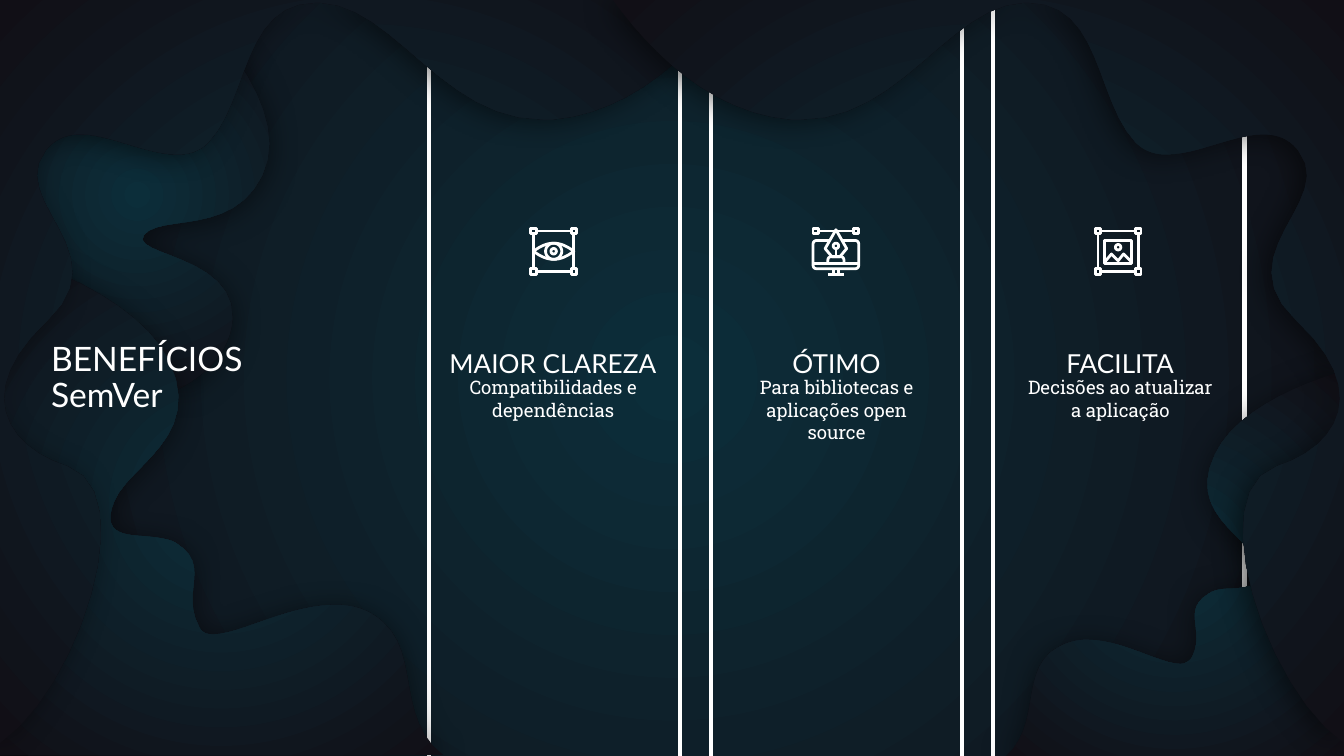
from dataclasses import dataclass

from lxml.etree import SubElement
from pptx import Presentation
from pptx.dml.color import RGBColor
from pptx.enum.shapes import MSO_SHAPE
from pptx.enum.text import MSO_ANCHOR, MSO_AUTO_SIZE, PP_ALIGN
from pptx.oxml.ns import qn
from pptx.util import Pt

PX = 9144  # EMU in one px, 100 px to the inch
WIDTH = 1000
HEIGHT = WIDTH * 9 / 16


@dataclass(frozen=True)
class Theme:
    glow: RGBColor = RGBColor(0x0C, 0x2E, 0x3A)
    night: RGBColor = RGBColor(0x11, 0x0F, 0x16)
    ink: RGBColor = RGBColor(0xFF, 0xFF, 0xFF)
    heading: str = "Lato"
    body: str = "Roboto Slab"
    title_size: int = 18
    heading_size: int = 14
    body_size: int = 10
    panel_line: float = 2.25
    icon_line: float = 1.5


THEME = Theme()

# Wave outlines, in slide px
BLOB = ("M 112 0 L 31 50 L 4 178 C 4 178 5 183 8 190 C 38 200 105 225 126 269 "
        "C 129 276 131 283 132 290 C 154 279 172 260 173 237 C 175 190 96 190 107 175 "
        "C 119 159 173 176 195 131 C 218 85 162 23 138 0 Z")
LEFT_FOOT = ("M -1 187 L -1 562 L 330 562 C 294 535 313 488 285 463 C 274 453 262 450 249 450 "
             "C 215 450 178 472 159 472 C 154 472 150 471 148 466 C 134 440 158 421 131 404 "
             "C 126 401 118 400 108 399 C 92 398 75 397 85 373 C 96 346 152 325 126 269 "
             "C 103 221 23 194 -1 187 Z")
CURTAIN = ("M 0 0 L 0 553 C 57 514 107 366 50 347 C 3 332 -20 290 35 239 C 90 188 4 150 34 112 "
           "C 41 103 50 100 60 100 C 82 100 109 115 132 115 C 140 115 148 113 155 106 "
           "C 185 75 180 2 235 2 L 238 2 C 294 4 329 89 404 89 L 411 89 "
           "C 472 84 517 37 544 0 Z")
RIGHT_FOOT = ("M 1000 276 L 1000 563 L 748 563 C 774 541 760 505 781 486 C 790 479 799 476 809 476 "
              "C 835 476 863 494 878 494 C 882 494 885 492 887 489 C 897 469 879 454 899 442 "
              "C 903 439 909 438 917 438 C 930 437 942 436 935 418 C 926 397 883 381 904 338 "
              "C 921 301 982 281 1000 276 Z")
NEAR, FAR = (15.8, 1.5, 90), (15.8, 3.8, 157)  # blur, distance, direction
WAVES = [(BLOB, NEAR, False), (LEFT_FOOT, NEAR, False), (CURTAIN, FAR, False),
         (RIGHT_FOOT, NEAR, False), (CURTAIN, FAR, True)]


def circle(x, y, r):
    k = 0.55 * r
    return (f"M {x - r} {y} C {x - r} {y - k} {x - k} {y - r} {x} {y - r} "
            f"C {x + k} {y - r} {x + r} {y - k} {x + r} {y} "
            f"C {x + r} {y + k} {x + k} {y + r} {x} {y + r} "
            f"C {x - k} {y + r} {x - r} {y + k} {x - r} {y} Z ")


def box(x, y, w, h):
    return f"M {x} {y} L {x + w} {y} L {x + w} {y + h} L {x} {y + h} Z "


# Icon strokes, in a 36 px box
TOP_HANDLES = box(1, 1, 4, 4) + box(31, 1, 4, 4) + "M 5 3 L 31 3 "
FRAME = (TOP_HANDLES + box(1, 31, 4, 4) + box(31, 31, 4, 4)
         + "M 5 33 L 31 33 M 3 5 L 3 31 M 33 5 L 33 31 ")
EYE = [FRAME + "M 3 18 C 7 15 12 12 18 12 C 24 12 29 15 33 18 "
       "C 29 21 24 24 18 24 C 12 24 7 21 3 18 Z " + circle(18, 18, 6), circle(18, 18, 2)]
PEN_SCREEN = [TOP_HANDLES + circle(18, 14, 2)
              + "M 18 2 L 10 16 L 15 22 L 21 22 L 26 16 Z M 18 16 L 18 22 "
              "M 12 27 L 12 25 C 12 23 13 22 15 22 L 21 22 C 23 22 24 23 24 25 L 24 27 "
              "M 13 10 L 4 10 C 2 10 1 11 1 13 L 1 28 C 1 30 2 31 4 31 L 32 31 "
              "C 34 31 35 30 35 28 L 35 13 C 35 11 34 10 32 10 L 23 10 "
              "M 1 27 L 35 27 M 16 31 L 16 35 M 20 31 L 20 35 M 12 35 L 24 35"]
PHOTO = [FRAME, box(8, 10, 20, 17) + "M 8 26 L 13 20 L 18 25 L 22 20 L 28 26", circle(18, 15, 2)]

BENEFITS = [("MAIOR CLAREZA", "Compatibilidades e dependências", EYE),
            ("ÓTIMO", "Para bibliotecas e aplicações open source", PEN_SCREEN),
            ("FACILITA", "Decisões ao atualizar a aplicação", PHOTO)]


def emu(*lengths):
    return [round(n * PX) for n in lengths]


def contours(path, steps=12):
    """Turn an M/L/C/Z path into (points, closed) pairs, with curves as short lines."""
    found, tokens = [], iter(path.split())
    for command in tokens:
        if command == "Z":
            found[-1][1] = True
            continue
        pairs = [(float(next(tokens)), float(next(tokens)))
                 for _ in range(3 if command == "C" else 1)]
        if command == "M":
            found.append([pairs, False])
        elif command == "L":
            found[-1][0].extend(pairs)
        else:
            points = found[-1][0]
            ends = [points[-1], *pairs]
            for t in (i / steps for i in range(1, steps + 1)):
                weights = ((1 - t) ** 3, 3 * t * (1 - t) ** 2, 3 * t * t * (1 - t), t ** 3)
                points.append(tuple(sum(w * e[a] for w, e in zip(weights, ends))
                                    for a in (0, 1)))
    return found


def add_outline(shapes, path, left=0, top=0, mirror=False):
    builder = None
    for points, closed in contours(path):
        placed = [emu(WIDTH - x if mirror else left + x, top + y) for x, y in points]
        if builder is None:
            builder = shapes.build_freeform(*placed[0])
        else:
            builder.move_to(*placed[0])
        builder.add_line_segments(placed[1:], close=closed)
    sp = builder.convert_to_shape()
    sp.shadow.inherit = False
    return sp


def fill_glow(fill, element):
    """Circular gradient from the centre outwards."""
    fill.gradient()
    for stop, color in zip(fill.gradient_stops, (THEME.glow, THEME.night)):
        stop.color.rgb = color
    grad = next(element.iter(qn("a:gradFill")))
    grad.remove(grad.find(qn("a:lin")))
    circle_path = SubElement(grad, qn("a:path"), path="circle")
    SubElement(circle_path, qn("a:fillToRect"), dict.fromkeys("ltrb", "50000"))


def add_shadow(sp, blur, distance, direction):
    effects = next(sp._element.iter(qn("a:effectLst")))
    shadow = SubElement(effects, qn("a:outerShdw"), blurRad=str(Pt(blur)), dist=str(Pt(distance)),
                        dir=str(direction * 60000), algn="bl", rotWithShape="0")
    color = SubElement(shadow, qn("a:srgbClr"), val="000000")
    SubElement(color, qn("a:alpha"), val="50000")


def set_line(sp, width):
    sp.fill.background()
    sp.line.color.rgb = THEME.ink
    sp.line.width = Pt(width)


def write(sp, text, font, size, anchor, **paragraph):
    tf = sp.text_frame
    left, top = emu(7, 4)
    frame = dict(word_wrap=True, auto_size=MSO_AUTO_SIZE.NONE, vertical_anchor=anchor,
                 margin_left=left, margin_right=left, margin_top=top, margin_bottom=top)
    p = tf.paragraphs[0]
    r = p.add_run()
    r.text = text
    for target, values in ((tf, frame), (p, paragraph),
                           (r.font, dict(name=font, size=Pt(size), bold=False))):
        for name, value in values.items():
            setattr(target, name, value)
    r.font.color.rgb = THEME.ink


def add_panel(s, x, y, w, h):
    sp = s.shapes.add_shape(MSO_SHAPE.RECTANGLE, *emu(x, y, w, h))
    sp.shadow.inherit = False
    set_line(sp, THEME.panel_line)


def add_wave(s, path, shadow, mirror):
    sp = add_outline(s.shapes, path, mirror=mirror)
    fill_glow(sp.fill, sp._element)
    sp.line.fill.background()
    add_shadow(sp, *shadow)


def add_title(s, text, x, y, w, h):
    title = s.shapes.title
    title.left, title.top, title.width, title.height = emu(x, y, w, h)
    write(title, text, THEME.heading, THEME.title_size, MSO_ANCHOR.MIDDLE,
          alignment=PP_ALIGN.LEFT, line_spacing=0.9)
    title._element.getparent().append(title._element)  # in front of the waves


def add_icon(s, icon, x, y):
    group = s.shapes.add_group_shape()
    for path in icon:
        set_line(add_outline(group.shapes, path, x, y), THEME.icon_line)


def add_benefit_text(s, heading, body, x, y, w):
    centred = dict(alignment=PP_ALIGN.CENTER, space_before=Pt(8))
    write(s.shapes.add_textbox(*emu(x, y, w, 26)), heading,
          THEME.heading, THEME.heading_size, MSO_ANCHOR.BOTTOM, **centred)
    write(s.shapes.add_textbox(*emu(x + 16, y + 16, w - 32, 132)), body,
          THEME.body, THEME.body_size, MSO_ANCHOR.TOP, **centred)


def main():
    prs = Presentation()
    prs.slide_width, prs.slide_height = emu(WIDTH, HEIGHT)
    s = prs.slides.add_slide(prs.slide_layouts[5])
    fill_glow(s.background.fill, s._element)
    # Panels and waves
    for i in range(len(BENEFITS)):
        add_panel(s, 319 + 210 * i, -4, 187, 570)
    for wave in WAVES:
        add_wave(s, *wave)
    # Title and benefits
    add_title(s, "BENEFÍCIOS SemVer", 31, 91, 206, 381)
    for i, (heading, body, icon) in enumerate(BENEFITS):
        add_icon(s, icon, 394 + 210 * i, 169)
        add_benefit_text(s, heading, body, 318 + 211 * i, 260, 187)
    prs.save("out.pptx")


if __name__ == "__main__":
    main()
